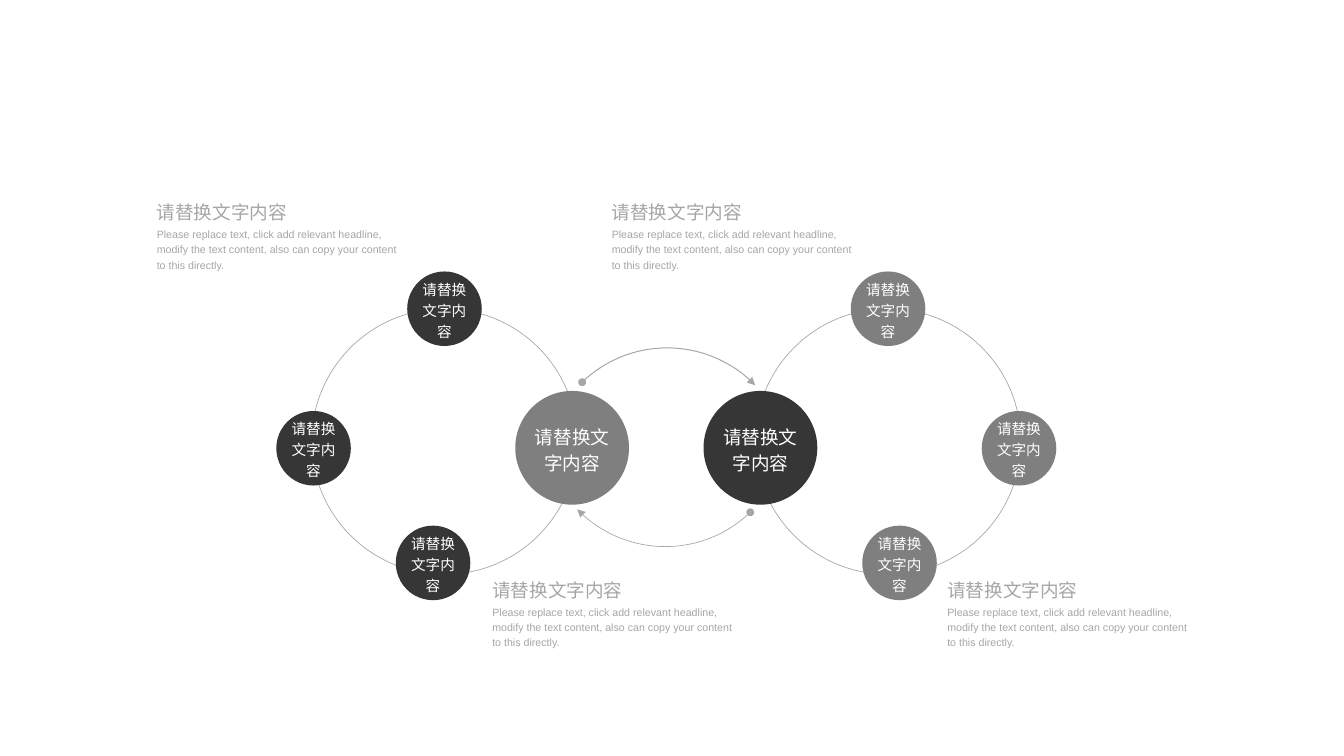
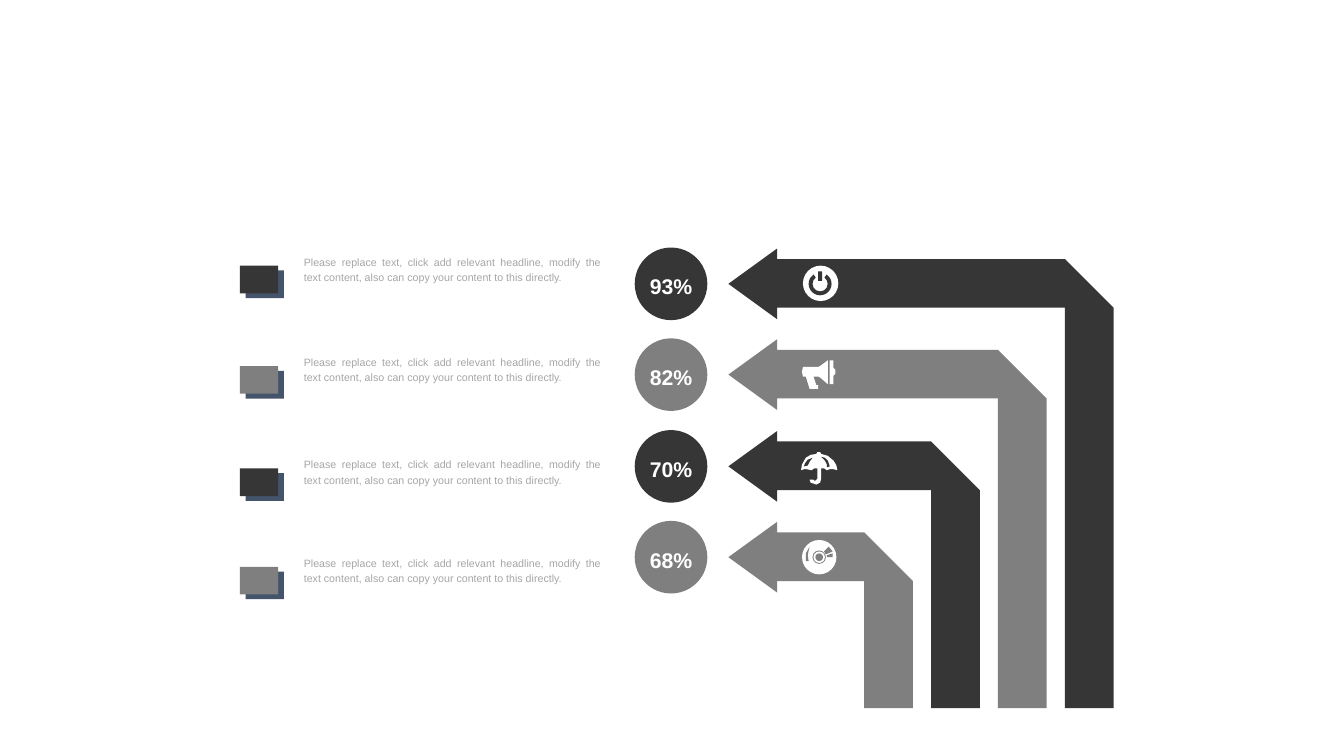
"""Build two slides: a pair of linked rings and four bent percentage arrows."""
from pptx import Presentation
from pptx.dml.color import RGBColor
from pptx.enum.shapes import MSO_SHAPE as Kind
from pptx.enum.text import MSO_ANCHOR as Anchor, PP_ALIGN as Align
from pptx.oxml.ns import qn
from pptx.util import Pt
from lxml.etree import SubElement

PX = 9144
DARK, GREY, PALE, NAVY, WHITE = "363636", "7F7F7F", "A6A6A6", "44546A", "FFFFFF"
LABEL = "请替换文字内容"
BODY = ("Please replace text, click add relevant headline, modify the text "
        "content, also can copy your content to this directly.")


def draw(page, kind, at, fill=None, line=None, width=0.5):
    """Add a preset shape in a box, or a polygon through points, and colour it."""
    if kind == "poly":
        pen = page.shapes.build_freeform(*at[0], scale=PX)
        pen.add_line_segments(at[1:], close=True)
        shape = pen.convert_to_shape()
    elif kind == "text":
        return page.shapes.add_textbox(*[n * PX for n in at])
    else:
        shape = page.shapes.add_shape(kind, *[n * PX for n in at])
    shape.shadow.inherit = False
    for part, tint in ((shape.fill, fill), (shape.line.fill, line)):
        if tint:
            part.solid()
            part.fore_color.rgb = RGBColor.from_string(tint)
        else:
            part.background()
    if line:
        shape.line.width = Pt(width)
    return shape


def write(shape, text, size=8, tint=PALE, bold=False, align=Align.LEFT,
          anchor=Anchor.TOP, wrap=True, inset=True):
    """Put one formatted paragraph into a shape."""
    frame = shape.text_frame
    frame.word_wrap = wrap
    frame.vertical_anchor = anchor
    if not inset:
        frame.margin_left = frame.margin_right = 0
        frame.margin_top = frame.margin_bottom = 0
    para = frame.paragraphs[0]
    para.alignment = align
    para.line_spacing = 1.2
    run = para.add_run()
    run.text = text
    run.font.name = "Arial"
    run.font.size = Pt(size)
    run.font.bold = bold
    run.font.color.rgb = RGBColor.from_string(tint)


deck = Presentation()
deck.slide_width, deck.slide_height = 1406 * PX, 791 * PX
blank = deck.slide_layouts[6]
mid = dict(tint=WHITE, align=Align.CENTER, anchor=Anchor.MIDDLE, inset=False)

page = deck.slides.add_slide(blank)
nodes = [(539, 409, 119), (289, 430, 78), (426, 284, 78), (414, 550, 78)]
for flip, hub, node in ((False, GREY, DARK), (True, DARK, GREY)):
    ring = 1394 - 326 - 278 if flip else 326
    draw(page, Kind.OVAL, (ring, 323, 278, 278), line=PALE)
    for left, top, size in nodes:
        big = size > 78
        x = 1394 - left - size if flip else left
        ball = draw(page, Kind.OVAL, (x, top, size, size), hub if big else node)
        write(ball, LABEL, size=14 if big else 11, **mid)

for left, top, start, end, width in ((570, 364, 226, 316, 0.75),
                                     (568, 316, 46, 136, 0.5)):
    arc = draw(page, Kind.ARC, (left, top, 256, 256), line=PALE, width=width)
    arc.adjustments[0], arc.adjustments[1] = start * 0.6, end * 0.6
    edge = arc.line._get_or_add_ln()
    SubElement(edge, qn("a:headEnd"), type="oval")
    SubElement(edge, qn("a:tailEnd"), type="triangle")

for left, top in ((515, 601), (991, 601), (164, 206), (640, 206)):
    write(draw(page, "text", (left, top + 30, 258, 48)), BODY, inset=False)
    write(draw(page, "text", (left, top, 137, 28)), LABEL, size=14,
          wrap=False, inset=False)

page = deck.slides.add_slide(blank)
rows = [("93%", 278, DARK), ("82%", 383, GREY), ("70%", 490, DARK), ("68%", 593, GREY)]
for i, (share, key, tint) in enumerate(rows):
    top, right = round(260 + 95.4 * i), 1165 - 70 * i
    ball = draw(page, Kind.OVAL, (664, top - 1, 76, 76), tint)
    write(ball, share, size=16, bold=True, wrap=False, **mid)
    draw(page, "poly", [
        (762, top + 37), (813, top), (813, top + 11), (right - 51, top + 11),
        (right, top + 62), (right, 741), (right - 51, 741),
        (right - 51, top + 62), (813, top + 62), (813, top + 74)], tint)
    draw(page, Kind.RECTANGLE, (257, key + 5, 40, 29), NAVY)
    draw(page, Kind.RECTANGLE, (251, key, 40, 29), tint)
    write(draw(page, "text", (308, key - 18, 331, 41)), BODY, align=Align.JUSTIFY)

draw(page, Kind.OVAL, (840, 278, 37, 37), WHITE)
power = draw(page, Kind.BLOCK_ARC, (846, 285, 24, 24), DARK)
for i, value in enumerate((305 * 0.6, 235 * 0.6, 0.17)):
    power.adjustments[i] = value
draw(page, Kind.RECTANGLE, (856, 284, 4, 10), DARK)

horn = [(840, 384), (856, 384), (858, 383), (866, 377), (866, 402), (858, 395),
        (856, 394), (851, 394), (854, 403), (856, 403), (856, 407), (847, 407),
        (843, 394), (840, 394), (839, 389)]
rim = [(868, 377), (872, 377), (872, 385), (874, 387), (874, 391), (872, 393),
       (872, 402), (868, 402)]
grip = [(856, 395), (853, 395), (854, 400), (855, 400), (855, 398)]
shade = [(851, 502), (852, 503), (853, 503), (854, 502), (855, 501), (855, 490),
         (852, 490), (849, 492), (844, 491), (841, 491), (838, 492), (839, 486),
         (843, 479), (848, 476), (854, 475), (855, 473), (858, 473), (859, 475),
         (866, 477), (872, 482), (875, 487), (876, 492), (872, 491), (868, 491),
         (865, 492), (862, 490), (859, 490), (859, 501), (858, 505), (856, 506),
         (854, 507), (851, 506), (848, 505), (847, 502)]
east = [(865, 489), (868, 488), (866, 482), (863, 479), (859, 478), (863, 482),
        (865, 486)]
west = [(841, 488), (845, 487), (847, 483), (850, 479), (845, 481), (842, 485)]
for points, tint in ((horn, WHITE), (rim, WHITE), (grip, GREY),
                     (shade, WHITE), (east, DARK), (west, DARK)):
    draw(page, "poly", points, tint)

for size, tint in ((36, WHITE), (14, GREY), (12, WHITE), (8, GREY)):
    draw(page, Kind.OVAL, (857 - size // 2, 583 - size // 2, size, size), tint)
for slot in ([(847, 572), (843, 579), (843, 587), (846, 587), (845, 581), (846, 576)],
             [(862, 577), (864, 580), (871, 577), (867, 572)],
             [(871, 579), (865, 581), (865, 583), (871, 583)]):
    draw(page, "poly", slot, GREY)

deck.save("out.pptx")
